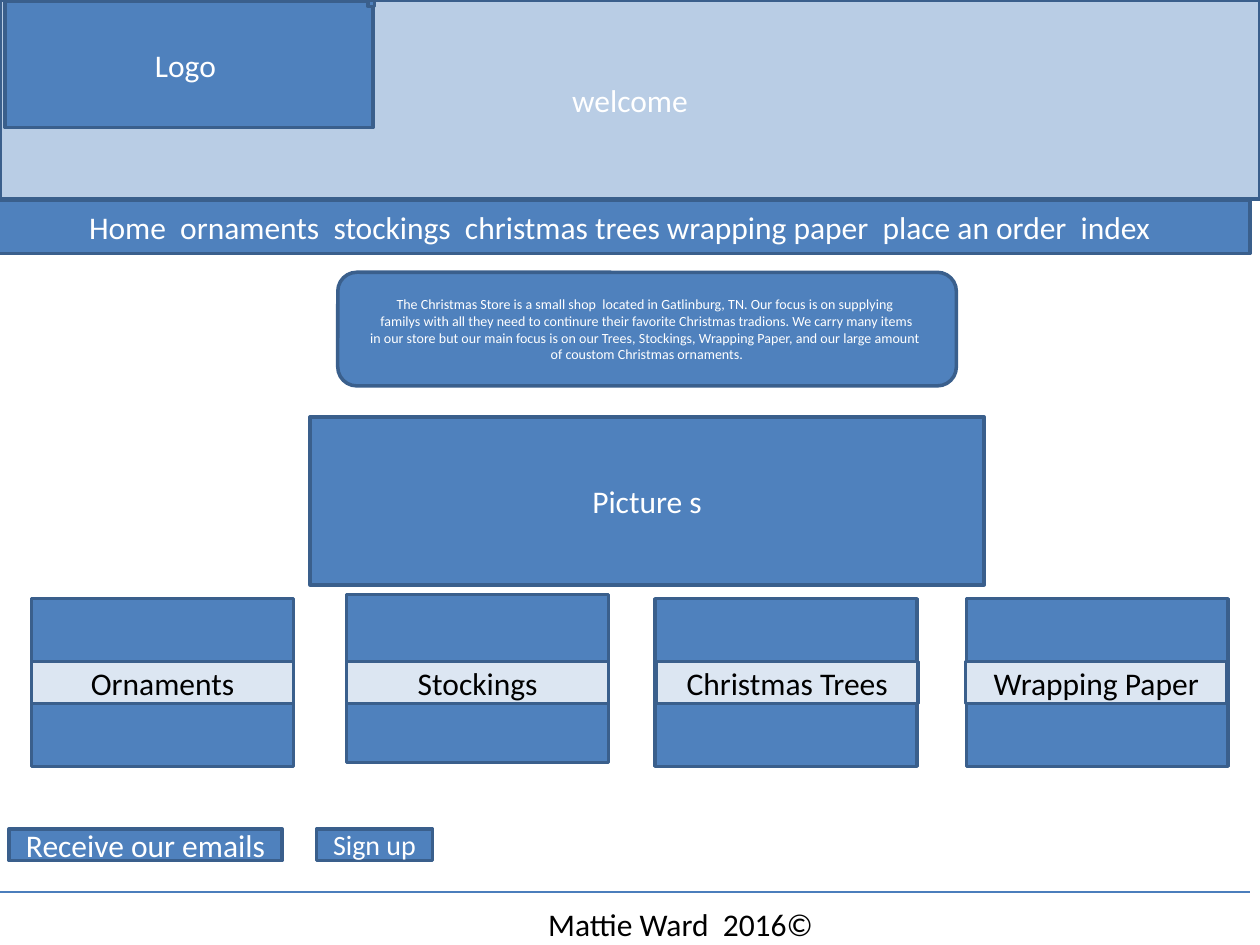
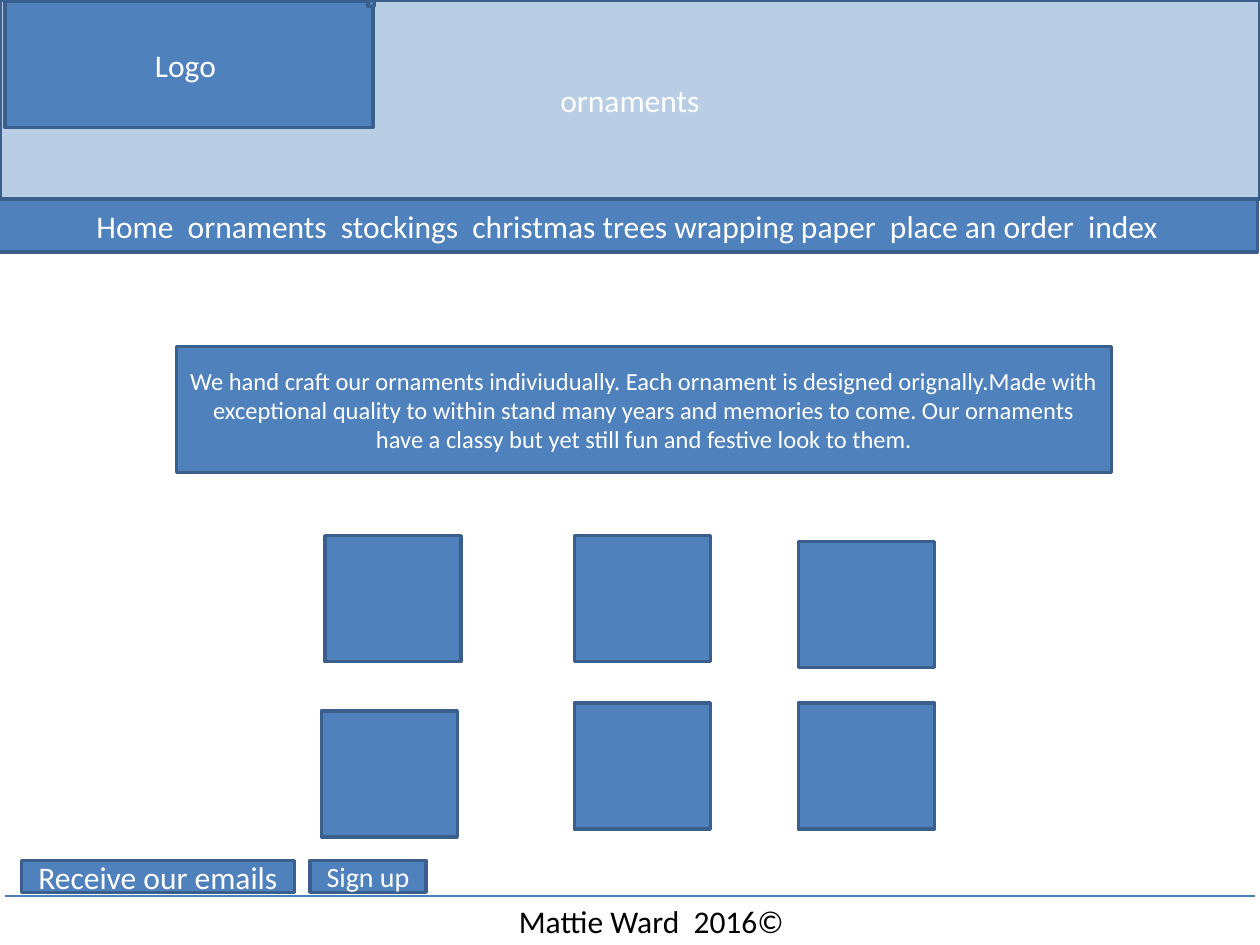
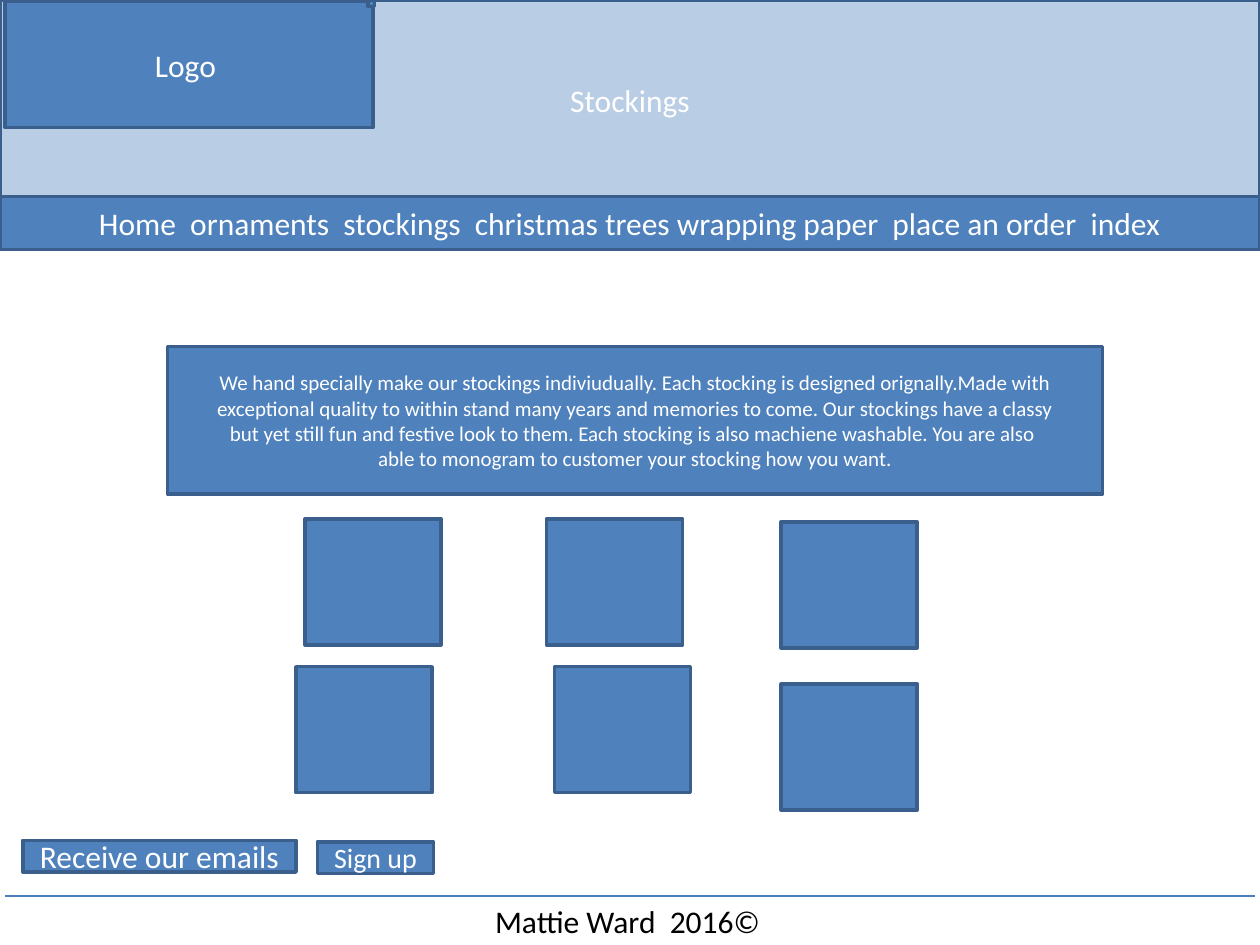
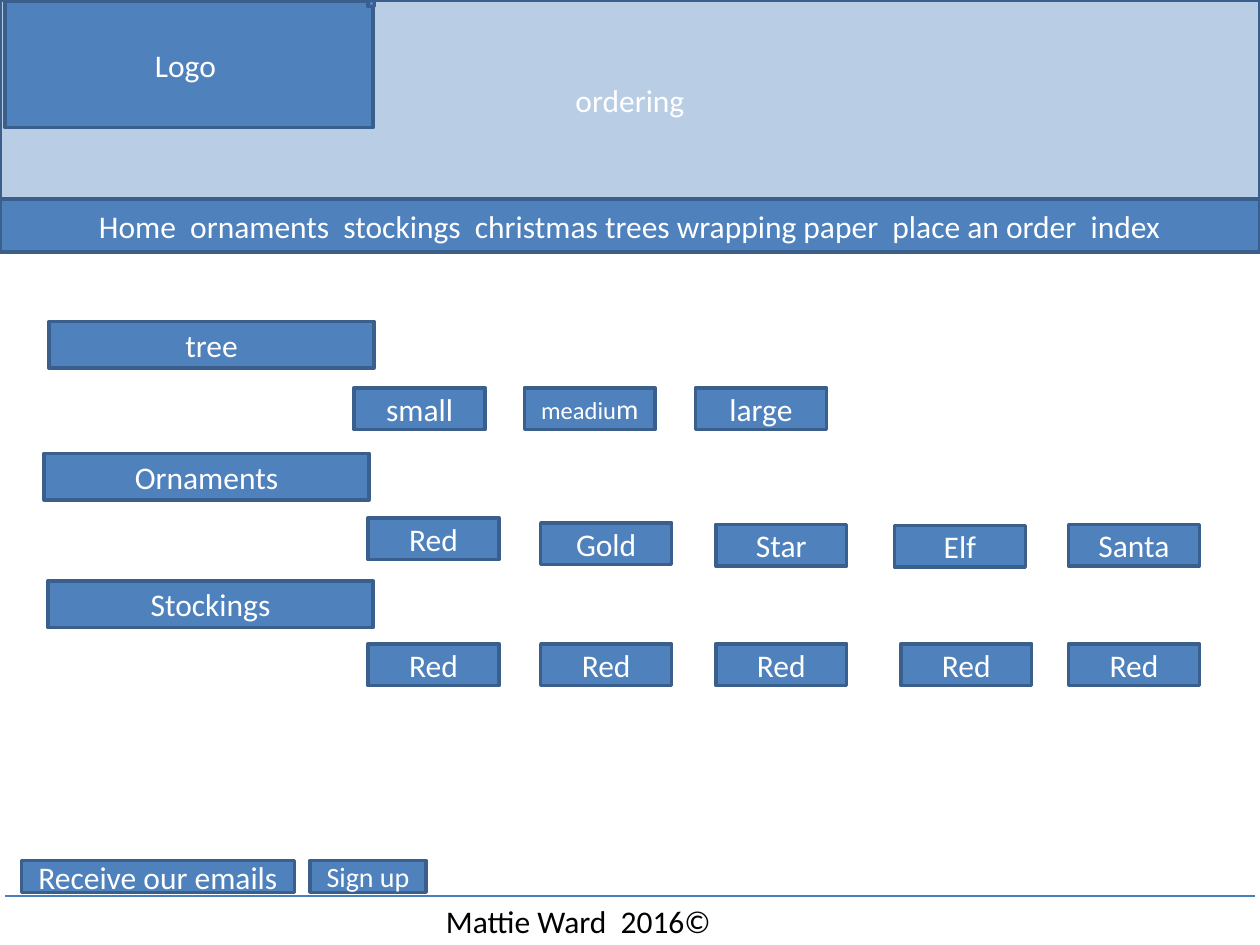
from lxml.etree import SubElement
from pptx import Presentation
from pptx.dml.color import RGBColor
from pptx.enum.shapes import MSO_CONNECTOR as Conn, MSO_SHAPE as Kind
from pptx.enum.text import MSO_ANCHOR as Anchor, MSO_AUTO_SIZE as Fit, PP_ALIGN as Align
from pptx.oxml.ns import qn
from pptx.util import Cm, Pt

# All lengths are centimetres; a box is (left, top, width, height).
FONT = "Calibri"
BLUE, EDGE, RULE = "4F81BD", "3A5F8C", "4B7EBC"
PALE, MIST, WHITE, BLACK = "B9CDE5", "DCE6F2", "FFFFFF", "000000"
WIDE, HIGH = 25.4, 19.05
MENU = ("Home  ornaments  stockings  christmas trees wrapping paper  "
        "place an order  index")
CARD = (5.28, 3.38)
TILE = (2.74, 2.54)
HEAD = (6.55, 0.94)
PICK = (2.64, 0.84)


def color(code):
    """Turn a hex string into a colour."""
    return RGBColor.from_string(code)


def place(box):
    """Turn a box into lengths."""
    return [Cm(side) for side in box]


def style(para, size, ink, align=Align.CENTER):
    """Set the font and alignment of a paragraph."""
    para.alignment = align
    font = para.font
    font.name, font.size = FONT, Pt(size)
    font.color.rgb = color(ink)


def paint(shape, fill):
    """Fill a shape and give it the shared outline."""
    shape.fill.solid()
    shape.fill.fore_color.rgb = color(fill)
    shape.line.color.rgb = color(EDGE)
    shape.line.width = Pt(2)


def write(shape, text, size=18, ink=WHITE):
    """Write centred lines into a shape."""
    frame = shape.text_frame
    frame.word_wrap = True
    frame.auto_size = Fit.NONE
    frame.vertical_anchor = Anchor.MIDDLE
    frame.text = text
    for para in frame.paragraphs:
        style(para, size, ink)


def block(slide, box, text="", size=18, fill=BLUE, ink=WHITE, kind=Kind.RECTANGLE):
    """Draw an outlined block, with text if any."""
    shape = slide.shapes.add_shape(kind, *place(box))
    shape.shadow.inherit = False
    paint(shape, fill)
    if text:
        write(shape, text, size, ink)
    return shape


def header(slide, title, nav):
    """Place the title band, the logo block and the menu bar at nav."""
    band = slide.shapes.title
    band.left, band.top, band.width, band.height = place((0, 0, WIDE, 4.01))
    paint(band, PALE)
    write(band, title)
    block(slide, (0.1, 0.03, 7.42, 2.54), "Logo ")
    block(slide, (7.42, 0, 0.13, 0.13))
    block(slide, (*nav, WIDE, 1.07), MENU)


def signup(slide, mail, join):
    """Place the two e-mail buttons at their corners."""
    block(slide, (*mail, 5.51, 0.64), "Receive our emails")
    block(slide, (*join, 2.34, 0.64), "Sign up", 16)


def footer(slide, left, rule=(0.1, 25.3, 18.06), top=18.06):
    """Draw the rule (start, end, height) and the credit below it."""
    start, end, y = rule
    line = slide.shapes.add_connector(Conn.STRAIGHT, *place((start, y, end, y)))
    line.line.color.rgb = color(RULE)
    line.line.width = Pt(0.75)
    SubElement(line._element.spPr, qn("a:effectLst"))
    note = slide.shapes.add_textbox(*place((left, top, 5.92, 1.02)))
    frame = note.text_frame
    frame.word_wrap = False
    frame.auto_size = Fit.SHAPE_TO_FIT_TEXT
    frame.text = "Mattie Ward  2016©"
    style(frame.paragraphs[0], 18, BLACK, Align.LEFT)


def card(slide, box, name, edge):
    """Draw a product card with its name strip starting at edge."""
    block(slide, box)
    block(slide, (edge, 13.34, box[2], 0.84), name, fill=MIST, ink=BLACK)


def tiles(slide, spots):
    """Draw an empty product tile at each spot."""
    for spot in spots:
        block(slide, (*spot, *TILE))


def group(slide, spot, name, picks):
    """Draw an order heading and its options (name, left, top)."""
    block(slide, (*spot, *HEAD), name)
    return [block(slide, (x, y, *PICK), text) for text, x, y in picks]


def page(deck, title, nav):
    """Add a slide with the shared header."""
    slide = deck.slides.add_slide(deck.slide_layouts[5])
    header(slide, title, nav)
    return slide


def welcome(deck):
    """Build the home page."""
    slide = page(deck, "welcome", (-0.2, 4.04))
    about = "\n".join((
        "The Christmas Store is a small shop  located in Gatlinburg, TN. "
        "Our focus is on supplying ",
        "familys with all they need to continure their favorite Christmas "
        "tradions. We carry many items",
        "in our store but our main focus is on our Trees, Stockings, "
        "Wrapping Paper, and our large amount ",
        "of coustom Christmas ornaments."))
    block(slide, (6.81, 5.49, 12.47, 2.29), about, 8, kind=Kind.ROUNDED_RECTANGLE)
    block(slide, (6.25, 8.41, 13.59, 3.38), "Picture s")
    for name, x, y, edge in (("Ornaments", 0.64, 12.07, 0.64),
                             ("Stockings", 6.99, 11.99, 6.99),
                             ("Christmas Trees", 13.21, 12.07, 13.23),
                             ("Wrapping Paper", 19.48, 12.07, 19.46)):
        card(slide, (x, y, *CARD), name, edge)
    signup(slide, (0.18, 16.71), (6.38, 16.71))
    footer(slide, 10.8, (0, 25.2, 17.98), 18.11)


def ornaments(deck):
    """Build the ornaments page."""
    slide = page(deck, "ornaments", (-0.05, 4.01))
    about = "\n".join((
        "We hand craft our ornaments indiviudually. Each ornament is designed "
        "orignally.Made with",
        "exceptional quality to within stand many years and memories to come. "
        "Our ornaments have a classy but yet still fun and festive look to them."))
    block(slide, (3.56, 6.99, 18.85, 2.54), about, 14)
    tiles(slide, ((6.55, 10.8), (11.58, 10.8), (16.1, 10.92),
                  (6.48, 14.33), (11.58, 14.17), (16.1, 14.17)))
    signup(slide, (0.43, 17.35), (6.25, 17.35))
    footer(slide, 10.21)


def stockings(deck):
    """Build the stockings page."""
    slide = page(deck, "Stockings", (0, 3.96))
    about = "\n".join((
        "We hand specially make our stockings indiviudually. Each stocking is "
        "designed orignally.Made with",
        "exceptional quality to within stand many years and memories to come. "
        "Our stockings have a classy",
        "but yet still fun and festive look to them. Each stocking is also "
        "machiene washable. You are also ",
        "able to monogram to customer your stocking how you want."))
    block(slide, (3.38, 6.99, 18.85, 2.97), about, 12)
    tiles(slide, ((6.15, 10.46), (11.02, 10.46), (15.75, 10.52),
                  (5.97, 13.44), (11.18, 13.44), (15.75, 13.79)))
    signup(slide, (0.46, 16.94), (6.4, 16.97))
    footer(slide, 9.73)


def ordering(deck):
    """Build the order page."""
    slide = page(deck, "ordering", (0, 4.01))
    sizes = group(slide, (0.99, 6.48), "tree",
                  (("small", 7.14, 7.82), ("meadiu", 10.57, 7.82),
                   ("large", 14.02, 7.82)))
    para = sizes[1].text_frame.paragraphs[0]
    para.font.size = None
    para.runs[0].font.size = Pt(14)
    tail = para.add_run()
    tail.text, tail.font.size = "m", Pt(16)
    for run in para.runs:
        run.font.name = FONT
        run.font.color.rgb = color(WHITE)
    group(slide, (0.89, 9.14), "Ornaments",
          (("Red", 7.42, 10.44), ("Gold", 10.9, 10.54), ("Star", 14.43, 10.57),
           ("Elf", 18.03, 10.59), ("Santa", 21.54, 10.57)))
    group(slide, (0.97, 11.71), "Stockings",
          [("Red", x, 12.98) for x in (7.42, 10.9, 14.43, 18.16, 21.54)])
    signup(slide, (0.43, 17.35), (6.25, 17.35))
    footer(slide, 8.74)


def main():
    """Build and save the deck."""
    deck = Presentation()
    deck.slide_width, deck.slide_height = Cm(WIDE), Cm(HIGH)
    for build in (welcome, ornaments, stockings, ordering):
        build(deck)
    deck.save("out.pptx")


main()
